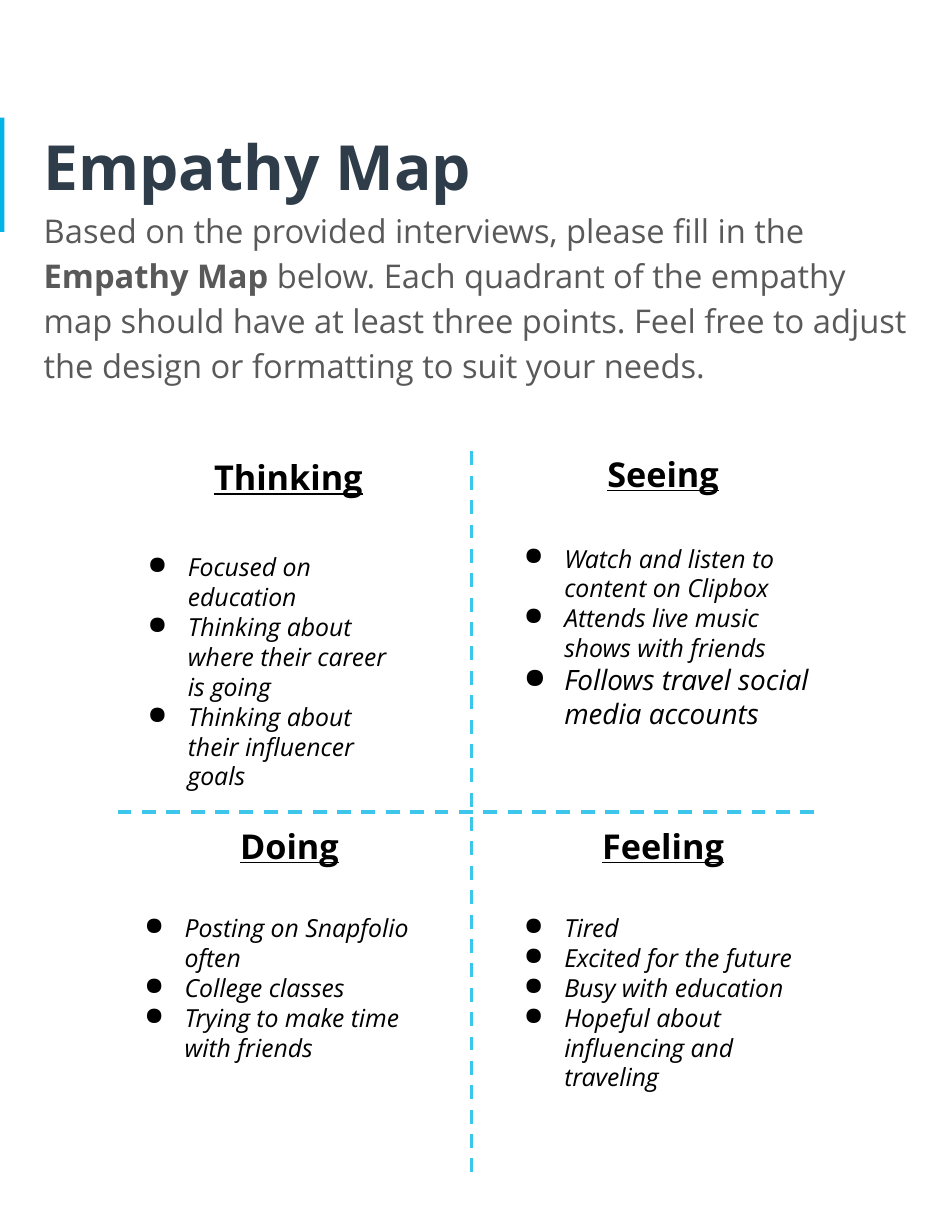
from lxml.etree import SubElement
from pptx import Presentation
from pptx.dml.color import RGBColor
from pptx.enum.dml import MSO_LINE
from pptx.enum.shapes import MSO_CONNECTOR, MSO_SHAPE
from pptx.enum.text import MSO_ANCHOR, MSO_AUTO_SIZE, PP_ALIGN
from pptx.oxml.ns import qn
from pptx.util import Inches, Pt

FONT = "Open Sans"
ACCENT = RGBColor(0x02, 0xB4, 0xE5)
DIVIDER = RGBColor(0x3D, 0xC6, 0xEB)
NAVY = RGBColor(0x2E, 0x3D, 0x49)
GRAY = RGBColor(0x59, 0x59, 0x59)
BLACK = RGBColor(0, 0, 0)

# Content
TITLE = "Empathy Map"
INTRO = [
    ("Based on the provided interviews, please fill in the ", False),
    ("Empathy Map", True),
    (" below. Each quadrant of the empathy map should have at least three points. "
     "Feel free to adjust the design or formatting to suit your needs.", False),
]
# Each quadrant: heading, heading box, list box, list indent, (point, size)
QUADRANTS = [
    ("Thinking", (0.91, 3.91, 3.33, 0.96), (0.58, 4.83, 3.14, 2.36), 1, [
        ("Focused on education", 16),
        ("Thinking about where their career is going", 16),
        ("Thinking about their influencer goals", 16)]),
    ("Seeing", (4.25, 3.88, 3.34, 0.96), (4.44, 4.75, 2.94, 1.89), 0.5, [
        ("Watch and listen to content on Clipbox", 16),
        ("Attends live music shows with friends", 16),
        ("Follows travel social media accounts", 18)]),
    ("Doing", (0.92, 7.2, 3.33, 0.96), (1.05, 8.05, 2.94, 1.55), 0.5, [
        ("Posting on Snapfolio often", 16),
        ("College classes", 16),
        ("Trying to make time with friends", 16)]),
    ("Feeling", (4.25, 7.2, 3.34, 0.96), (4.44, 8.05, 2.83, 1.82), 0.5, [
        ("Tired", 16),
        ("Excited for the future", 16),
        ("Busy with education", 16),
        ("Hopeful about influencing and traveling", 16)]),
]
DIVIDERS = [(4.21, 4.03, 4.21, 10.56), (7.27, 7.25, 1.05, 7.25)]

# Text formats
TITLE_FORMAT = {"size": Pt(40), "bold": True}
INTRO_FORMAT = {"size": Pt(21)}
HEADING_FORMAT = {"size": Pt(22), "bold": True, "underline": True}
POINT_FORMAT = {"italic": True}


def setup_frame(sp, box, inset):
    sp.left, sp.top, sp.width, sp.height = (Inches(v) for v in box)
    tf = sp.text_frame
    values = {"word_wrap": True, "auto_size": MSO_AUTO_SIZE.NONE,
              "vertical_anchor": MSO_ANCHOR.TOP}
    for side in ("left", "top", "right", "bottom"):
        values[f"margin_{side}"] = Inches(inset)
    for name, value in values.items():
        setattr(tf, name, value)
    return tf


def add_run(p, text, color, values):
    r = p.add_run()
    r.text = text
    r.font.color.rgb = color
    for name, value in {"name": FONT, **values}.items():
        setattr(r.font, name, value)


def set_bullet(p, indent):
    pPr = p._p.get_or_add_pPr()
    pPr.set("marL", str(Inches(indent)))
    pPr.set("indent", str(Inches(-0.36)))
    color = SubElement(pPr, qn("a:buClr"))
    SubElement(color, qn("a:srgbClr")).set("val", str(BLACK))
    SubElement(pPr, qn("a:buChar")).set("char", "●")


def add_text_box(s, box, inset):
    return setup_frame(s.shapes.add_textbox(0, 0, 0, 0), box, inset)


prs = Presentation()
prs.slide_width, prs.slide_height = Inches(8.5), Inches(11)
s = prs.slides.add_slide(prs.slide_layouts[1])

# Accent bar
bar = s.shapes.add_shape(MSO_SHAPE.RECTANGLE, 0, Inches(1.05), Inches(0.04), Inches(1.02))
bar.shadow.inherit = False
bar.fill.solid()
bar.fill.fore_color.rgb = ACCENT
bar.line.fill.background()

# Title
p = setup_frame(s.shapes.title, (0.29, 0.95, 7.92, 1.22), 0.1).paragraphs[0]
p.alignment, p.line_spacing = PP_ALIGN.LEFT, 1.15
add_run(p, TITLE, NAVY, TITLE_FORMAT)

# Introduction
p = setup_frame(s.placeholders[1], (0.29, 1.73, 8, 1.22), 0.1).paragraphs[0]
p.line_spacing, p.space_before = 1.15, Pt(0)
pPr = p._p.get_or_add_pPr()
pPr.set("marL", "0")
pPr.set("indent", "0")
SubElement(pPr, qn("a:buNone"))
for text, bold in INTRO:
    add_run(p, text, GRAY, {**INTRO_FORMAT, "bold": bold})

# Quadrants
for heading, heading_box, list_box, indent, points in QUADRANTS:
    p = add_text_box(s, heading_box, 0.11).paragraphs[0]
    p.alignment, p.line_spacing = PP_ALIGN.CENTER, 1.15
    add_run(p, heading, BLACK, HEADING_FORMAT)

    tf = add_text_box(s, list_box, 0.1)
    for i, (text, size) in enumerate(points):
        p = tf.add_paragraph() if i else tf.paragraphs[0]
        set_bullet(p, indent)
        add_run(p, text, BLACK, {**POINT_FORMAT, "size": Pt(size)})

# Dashed dividers
for ends in DIVIDERS:
    line = s.shapes.add_connector(MSO_CONNECTOR.STRAIGHT, *(Inches(v) for v in ends))
    line.line.color.rgb = DIVIDER
    line.line.width = Pt(2.25)
    line.line.dash_style = MSO_LINE.DASH
    SubElement(line._element.spPr, qn("a:effectLst"))

prs.save("out.pptx")
